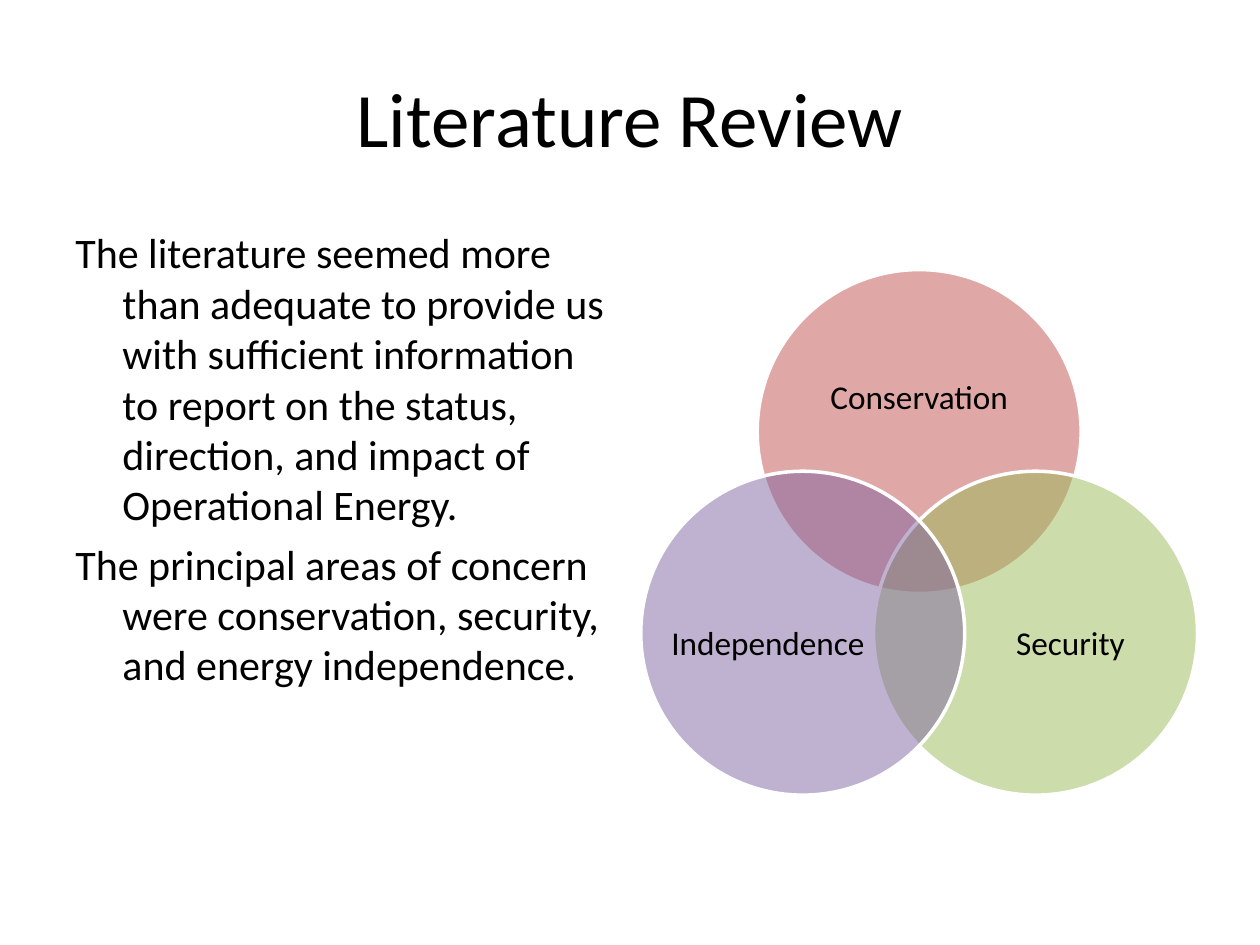
from math import cos, radians, sin

from lxml.etree import SubElement
from pptx import Presentation
from pptx.dml.color import RGBColor
from pptx.enum.shapes import MSO_SHAPE
from pptx.enum.text import MSO_ANCHOR, PP_ALIGN
from pptx.oxml.ns import qn
from pptx.util import Cm, Pt

BLACK = RGBColor(0x00, 0x00, 0x00)
WHITE = RGBColor(0xFF, 0xFF, 0xFF)
RED = RGBColor(0xC0, 0x50, 0x4D)
GREEN = RGBColor(0x9B, 0xBB, 0x59)
PURPLE = RGBColor(0x80, 0x64, 0xA2)

FONT = "Calibri"
VENN_X, VENN_Y = 18.53, 11.41
VENN_RADIUS = 2.71
DIAMETER = 6.53

BODY = [
    "The literature seemed more than adequate to provide us with sufficient "
    "information to report on the status, direction, and impact of "
    "Operational Energy.",
    "The principal areas of concern were conservation, security, "
    "and energy independence.",
]

# angle, colour, label, label centre offset, label size
AREAS = [
    (-90, RED, "Conservation", (0, -3.37), (4.78, 2.92)),
    (30, GREEN, "Security", (3.05, 1.58), (3.91, 3.58)),
    (150, PURPLE, "Independence", (-3.05, 1.58), (3.91, 3.58)),
]


def add_text(shapes, box, lines, size, align=PP_ALIGN.LEFT, anchor=MSO_ANCHOR.TOP):
    textbox = shapes.add_textbox(*map(Cm, box))
    frame = textbox.text_frame
    frame.word_wrap = True
    frame.vertical_anchor = anchor
    frame.text = "\n".join(lines)
    for paragraph in frame.paragraphs:
        paragraph.alignment = align
        paragraph.font.name = FONT
        paragraph.font.size = Pt(size)
        paragraph.font.color.rgb = BLACK
    return frame


def add_body(shapes):
    frame = add_text(shapes, (1.27, 4.45, 11.23, 12.57), BODY, 24)
    for paragraph in frame.paragraphs:
        paragraph.space_before = Pt(5)
        properties = paragraph._p.get_or_add_pPr()
        properties.set("marL", str(Cm(0.95)))
        properties.set("indent", str(-Cm(0.95)))


def add_circle(shapes, angle, color):
    left = VENN_X + VENN_RADIUS * cos(radians(angle)) - DIAMETER / 2
    top = VENN_Y + VENN_RADIUS * sin(radians(angle)) - DIAMETER / 2
    circle = shapes.add_shape(
        MSO_SHAPE.OVAL, Cm(left), Cm(top), Cm(DIAMETER), Cm(DIAMETER)
    )
    circle.shadow.inherit = False
    circle.fill.solid()
    circle.fill.fore_color.rgb = color
    circle.line.color.rgb = WHITE
    circle.line.width = Pt(2)
    fill_color = circle._element.spPr.find(qn("a:solidFill"))[0]
    SubElement(fill_color, qn("a:alpha"), val="50000")


def add_label(shapes, text, offset, size):
    width, height = size
    left = VENN_X + offset[0] - width / 2
    top = VENN_Y + offset[1] - height / 2
    frame = add_text(
        shapes, (left, top, width, height), [text], 19,
        PP_ALIGN.CENTER, MSO_ANCHOR.MIDDLE,
    )
    frame.margin_left = frame.margin_right = 0
    frame.margin_top = frame.margin_bottom = 0
    paragraph = frame.paragraphs[0]
    paragraph.line_spacing = 0.9
    paragraph.space_after = Pt(6.65)


def add_venn(slide):
    group = slide.shapes.add_group_shape()
    for angle, color, text, offset, size in AREAS:
        add_circle(group.shapes, angle, color)
        add_label(group.shapes, text, offset, size)


def main():
    presentation = Presentation()
    presentation.slide_width = Cm(25.4)
    presentation.slide_height = Cm(19.05)
    slide = presentation.slides.add_slide(presentation.slide_layouts[6])
    add_text(
        slide.shapes, (1.27, 0.76, 22.86, 3.18), ["Literature Review"], 44,
        PP_ALIGN.CENTER, MSO_ANCHOR.MIDDLE,
    )
    add_body(slide.shapes)
    add_venn(slide)
    presentation.save("out.pptx")


main()
